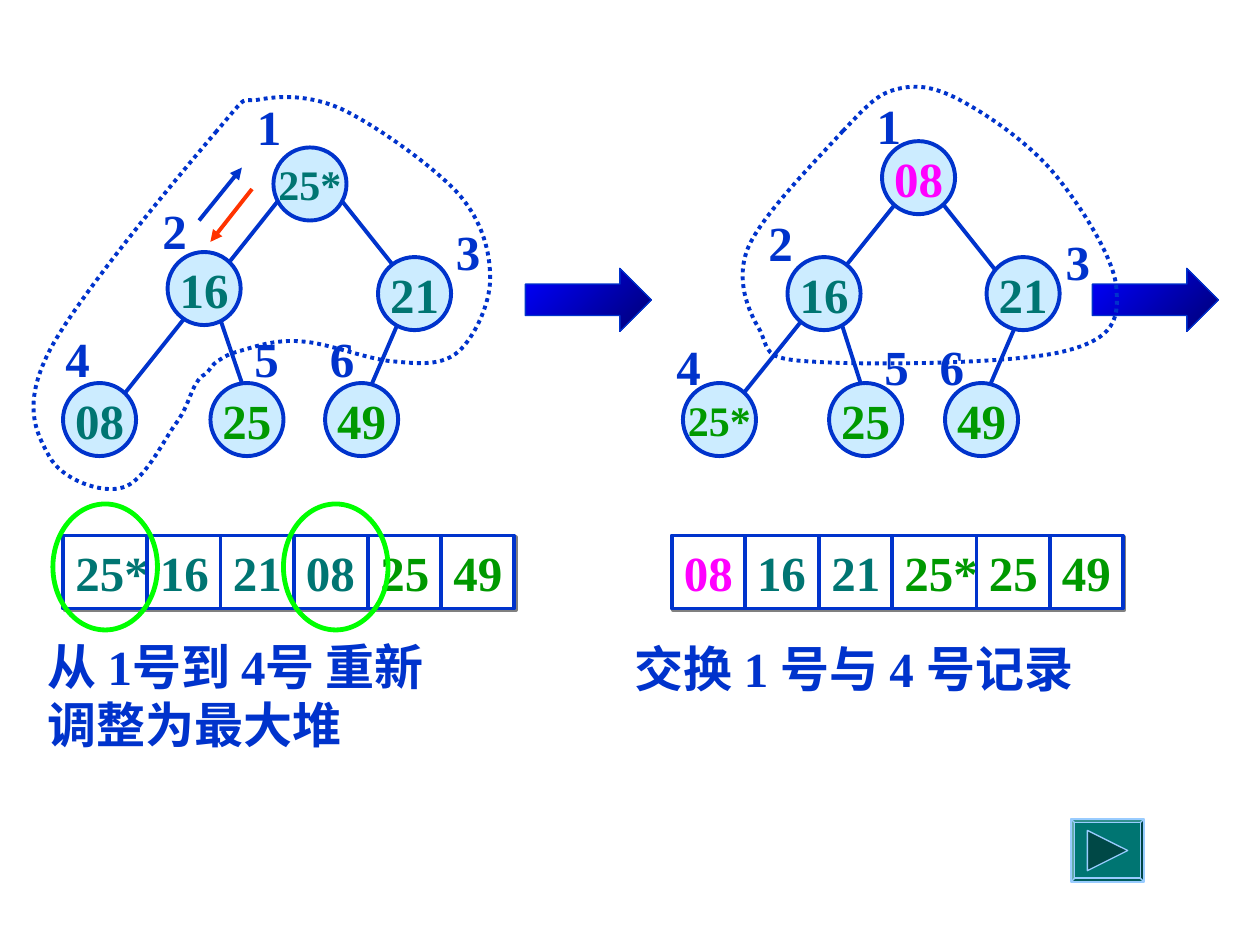
from lxml.etree import SubElement
from pptx import Presentation
from pptx.dml.color import RGBColor
from pptx.enum.dml import MSO_LINE
from pptx.enum.shapes import MSO_CONNECTOR, MSO_SHAPE
from pptx.enum.text import MSO_ANCHOR, MSO_AUTO_SIZE, PP_ALIGN
from pptx.oxml.ns import qn
from pptx.util import Inches, Pt

rgb = RGBColor.from_string
BLUE, TEAL, GREEN, PINK = "0033CC", "007572", "009900", "FF00FF"
NODE = 0.58

prs = Presentation()
prs.slide_width, prs.slide_height = Inches(10), Inches(7.5)
shapes = prs.slides.add_slide(prs.slide_layouts[6]).shapes


def add_box(kind, x, y, w, h, fill=None, line=BLUE, weight=2.25):
    box = shapes.add_shape(kind, Inches(x), Inches(y), Inches(w), Inches(h))
    box.shadow.inherit = False
    if fill:
        box.fill.solid()
        box.fill.fore_color.rgb = rgb(fill)
    else:
        box.fill.background()
    box.line.color.rgb = rgb(line)
    box.line.width = Pt(weight)
    return box


def add_line(start, end, color=BLUE):
    line = shapes.add_connector(MSO_CONNECTOR.STRAIGHT, *map(Inches, start + end))
    line.line.color.rgb = rgb(color)
    line.line.width = Pt(2.25)
    SubElement(line._element.spPr, qn("a:effectLst"))
    return line


# Block arrows between the steps
for x in (4.17, 8.67):
    arrow = add_box(MSO_SHAPE.RIGHT_ARROW, x, 2.13, 1, 0.5, weight=0.75)
    arrow.fill.gradient()
    arrow.fill.gradient_angle = 315
    for stop, color, position in zip(arrow.fill.gradient_stops, ("0000FF", "000076"), (0, 1)):
        stop.color.rgb = rgb(color)
        stop.position = position

# Record arrays: left edge, divider offsets, values with colours
arrays = [
    (5.33, (0.58, 1.17, 1.75, 2.42, 3),
     [("08", PINK), ("16", TEAL), ("21", TEAL), ("25*", GREEN), ("25", GREEN), ("49", GREEN)]),
    (0.5, (0.67, 1.25, 1.83, 2.42, 3),
     [("25*", TEAL), ("16", TEAL), ("21", TEAL), ("08", TEAL), ("25", GREEN), ("49", GREEN)]),
]
for left, dividers, records in arrays:
    array = add_box(MSO_SHAPE.RECTANGLE, left, 4.25, 3.58, 0.58, "FFFFFF")
    shadow = SubElement(array._element.spPr.find(qn("a:effectLst")), qn("a:outerShdw"),
                        dist=str(Pt(1.4)), dir="2700000", algn="ctr", rotWithShape="0")
    SubElement(shadow, qn("a:srgbClr"), val="808080")
    frame = array.text_frame
    frame.word_wrap = True
    frame.vertical_anchor = MSO_ANCHOR.MIDDLE
    frame.margin_right = 0
    row = frame.paragraphs[0]
    row.alignment = PP_ALIGN.LEFT
    # Every value after the first starts at a tab stop in its own cell
    tabs = SubElement(row._p.get_or_add_pPr(), qn("a:tabLst"))
    for offset in dividers:
        SubElement(tabs, qn("a:tab"), pos=str(Inches(offset)), algn="l")
        add_line((left + offset, 4.25), (left + offset, 4.83))
    for i, (value, color) in enumerate(records):
        run = row.add_run()
        run.text = value if i == 0 else "\t" + value
        run.font.name, run.font.size, run.font.bold = "Times New Roman", Pt(28), True
        run.font.color.rgb = rgb(color)

# Heaps: edges, nodes (value, x, y, colour), and the dotted outline
# as a start point followed by Bézier triples
heaps = [
    ([((3.17, 2.54), (2.92, 3.12)), ((1.75, 2.54), (1.92, 3.04)),
      ((2.67, 1.54), (3.33, 2.37)), ((2.25, 1.54), (0.92, 3.21))],
     [("25*", 2.17, 1.17, TEAL), ("16", 1.33, 2, TEAL), ("21", 3, 2.04, TEAL),
      ("08", 0.5, 3.04, TEAL), ("25", 1.67, 3.04, GREEN), ("49", 2.58, 3.04, GREEN)],
     [(1.72, 1.04),
      (1.44, 1.37), (0.61, 2.36), (0.39, 2.79), (0.17, 3.22), (0.29, 3.44), (0.39, 3.62),
      (0.49, 3.81), (0.81, 3.92), (0.97, 3.87), (1.14, 3.83), (1.29, 3.51), (1.39, 3.37),
      (1.49, 3.24), (1.51, 3.11), (1.56, 3.04), (1.6, 2.97), (1.61, 2.99), (1.64, 2.96),
      (1.67, 2.93), (1.68, 2.9), (1.72, 2.87), (1.76, 2.85), (1.78, 2.82), (1.89, 2.79),
      (2, 2.76), (2.18, 2.69), (2.39, 2.71), (2.6, 2.72), (2.93, 2.86), (3.14, 2.87),
      (3.35, 2.89), (3.51, 2.9), (3.64, 2.79), (3.76, 2.68), (3.89, 2.42), (3.89, 2.21),
      (3.89, 2), (3.83, 1.76), (3.64, 1.54), (3.44, 1.32), (2.99, 1), (2.72, 0.87),
      (2.46, 0.75), (2.22, 0.76), (2.06, 0.79), (1.89, 0.82), (2, 0.71), (1.72, 1.04)]),
    ([((8.08, 2.54), (7.83, 3.12)), ((7.42, 1.54), (8.08, 2.37)),
      ((6.67, 2.54), (6.83, 3.04)), ((7.17, 1.54), (5.83, 3.21))],
     [("08", 7, 1.12, PINK), ("16", 6.25, 2.04, TEAL), ("21", 7.83, 2.04, TEAL),
      ("25*", 5.42, 3.04, GREEN), ("25", 6.58, 3.04, GREEN), ("49", 7.5, 3.04, GREEN)],
     [(6.69, 1.04),
      (6.5, 1.25), (6.06, 1.69), (5.94, 1.96), (5.83, 2.22), (5.94, 2.47), (6.03, 2.62),
      (6.11, 2.78), (6.04, 2.85), (6.44, 2.87), (6.85, 2.9), (8.04, 2.89), (8.44, 2.79),
      (8.85, 2.69), (8.88, 2.53), (8.86, 2.29), (8.85, 2.06), (8.57, 1.62), (8.36, 1.37),
      (8.15, 1.12), (7.82, 0.9), (7.61, 0.79), (7.4, 0.68), (7.26, 0.67), (7.11, 0.71),
      (6.96, 0.75), (6.89, 0.83), (6.69, 1.04)]),
]
for edges, nodes, outline in heaps:
    for start, end in edges:
        add_line(start, end)
    for value, x, y, color in nodes:
        node = add_box(MSO_SHAPE.OVAL, x, y, NODE, NODE, "CCECFF")
        frame = node.text_frame
        frame.text = value
        frame.word_wrap = False
        frame.vertical_anchor = MSO_ANCHOR.MIDDLE
        frame.paragraphs[0].alignment = PP_ALIGN.CENTER
        font = frame.paragraphs[0].runs[0].font
        font.name, font.bold = "Times New Roman", True
        font.size = Pt(24 if len(value) > 2 else 28)
        font.color.rgb = rgb(color)
    points = [(Inches(x), Inches(y)) for x, y in outline]
    builder = shapes.build_freeform(*points[0])
    builder.add_line_segments(points[1:], close=True)
    region = builder.convert_to_shape()
    region.shadow.inherit = False
    region.fill.background()
    region.line.color.rgb = rgb(BLUE)
    region.line.width = Pt(2.25)
    region.line.dash_style = MSO_LINE.ROUND_DOT
    # Join each three segments into one cubic curve
    segments = list(region._element.iter(qn("a:lnTo")))
    for i in range(0, len(outline) - 1, 3):
        curve = segments[i]
        curve.tag = qn("a:cubicBezTo")
        for segment in segments[i + 1:i + 3]:
            curve.append(segment[0])
            segment.getparent().remove(segment)

# Node numbers and captions
notes = [
    ("1", 1.94, 0.72), ("2", 1.19, 1.54), ("3", 3.52, 1.71),
    ("4", 0.42, 2.56), ("5", 1.92, 2.56), ("6", 2.52, 2.56),
    ("1", 6.86, 0.71), ("2", 6, 1.64), ("3", 8.36, 1.79),
    ("4", 5.27, 2.62), ("5", 6.92, 2.62), ("6", 7.36, 2.62),
    ("从 1号到 4号 重新\n调整为最大堆", 0.28, 5, 3.99, 1.04),
    ("交换 1 号与 4 号记录", 4.94, 5.02, 4.34, 0.57),
]
for text, x, y, *size in notes:
    w, h = size or (0.39, 0.57)
    note = shapes.add_textbox(Inches(x), Inches(y), Inches(w), Inches(h))
    frame = note.text_frame
    frame.text = text
    frame.word_wrap = False
    frame.auto_size = MSO_AUTO_SIZE.SHAPE_TO_FIT_TEXT
    for paragraph in frame.paragraphs:
        font = paragraph.runs[0].font
        font.name, font.size, font.bold = "Times New Roman", Pt(28), True
        font.color.rgb = rgb(BLUE)

# Rings around the two records to compare
for x in (0.42, 2.25):
    add_box(MSO_SHAPE.OVAL, x, 4, 0.83, 1, line="00FF00", weight=2.75)

# Swap arrows beside the root
for start, end, color in [((1.58, 1.75), (1.92, 1.33), BLUE),
                          ((2, 1.5), (1.67, 1.92), "FF3300")]:
    swap = add_line(start, end, color)
    SubElement(swap.line._get_or_add_ln(), qn("a:tailEnd"), type="triangle")

# Next button
button = add_box(MSO_SHAPE.BEVEL, 8.5, 6.5, 0.58, 0.5, TEAL, "99CCFF", 0.75)
button.adjustments[0] = 0.06
play = add_box(MSO_SHAPE.ISOSCELES_TRIANGLE, 8.63, 6.59, 0.32, 0.32, "004846", "99CCFF", 0.75)
play.rotation = 90

prs.save("out.pptx")
